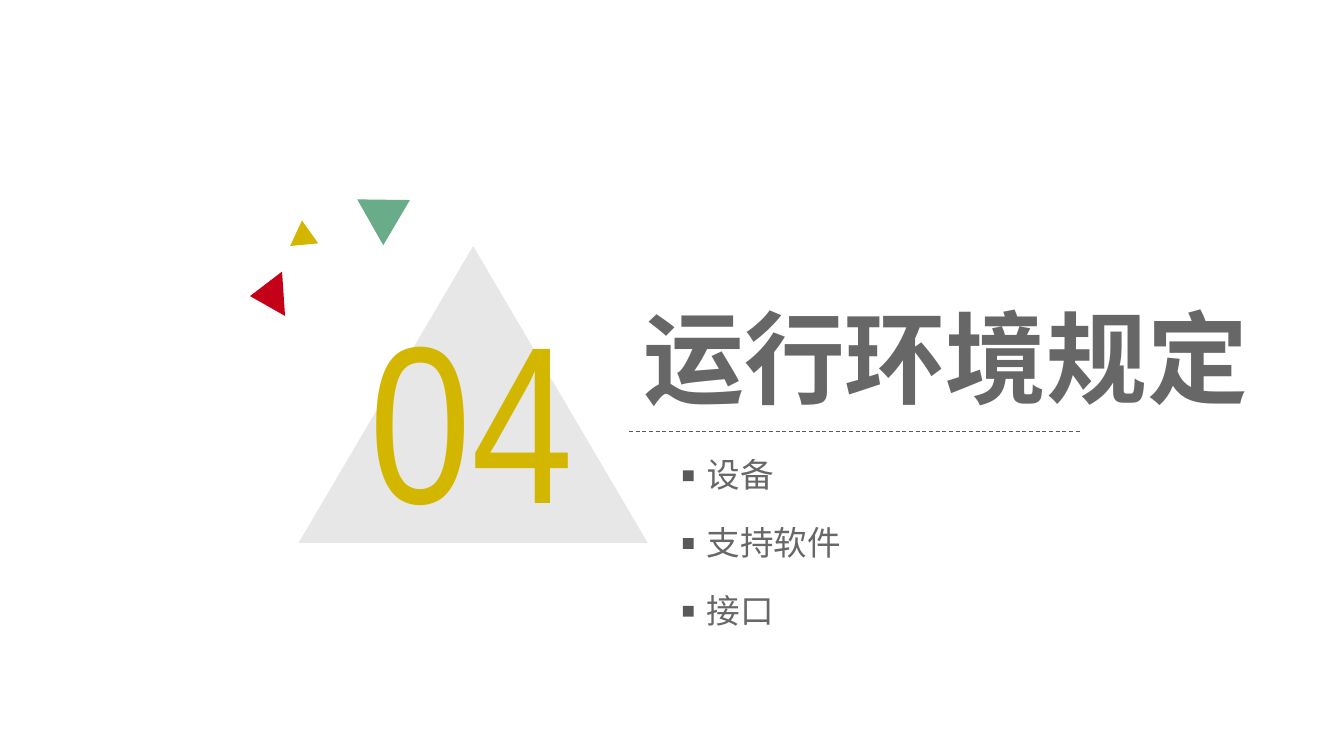
from pptx import Presentation
from pptx.dml.color import RGBColor
from pptx.enum.dml import MSO_LINE
from pptx.enum.shapes import MSO_CONNECTOR, MSO_SHAPE as Kind
from pptx.enum.text import MSO_AUTO_SIZE as Fit
from pptx.util import Pt
from lxml.etree import SubElement
from pptx.oxml.ns import qn

GRAY = RGBColor(0x59, 0x59, 0x59)
GOLD = RGBColor(0xD3, 0xB6, 0x00)
GREEN = RGBColor(0x69, 0xAC, 0x89)
RED = RGBColor(0xC5, 0x01, 0x19)
SANS = "Noto Sans CJK SC"


def add_form(host, kind, box, color, turn=0, alpha=100):
    form = host.add_shape(kind, *map(Pt, box))
    form.shadow.inherit = False
    form.rotation = turn
    form.fill.solid()
    form.fill.fore_color.rgb = color
    form.line.fill.background()
    if alpha < 100:
        tint = form._element.spPr.find(".//" + qn("a:srgbClr"))
        SubElement(tint, qn("a:alpha"), val=str(alpha * 1000))


def add_text(host, box, text, size, face, color, bold=False, alpha=100):
    area = host.add_textbox(*map(Pt, box))
    frame = area.text_frame
    frame.word_wrap = False
    frame.auto_size = Fit.SHAPE_TO_FIT_TEXT
    frame.text = text
    run = frame.paragraphs[0].runs[0]
    run.font.size = Pt(size)
    run.font.bold = bold
    run.font.name = face
    run.font.color.rgb = color
    props = run._r.get_or_add_rPr()
    SubElement(props, qn("a:ea"), typeface=face)
    if alpha < 100:
        tint = props.find(".//" + qn("a:srgbClr"))
        SubElement(tint, qn("a:alpha"), val=str(alpha * 1000))
    return frame


deck = Presentation()
deck.slide_width, deck.slide_height = Pt(720), Pt(405)
slide = deck.slides.add_slide(deck.slide_layouts[6])
shapes = slide.shapes

add_form(shapes, Kind.ISOSCELES_TRIANGLE, (160, 131.8, 187, 159), GRAY, alpha=14)
add_text(shapes, (190.8, 146.2, 140.4, 152.6), "04", 120, "Arial Narrow", GOLD)
title = add_text(shapes, (325.4, 154.8, 354.3, 76.3), "运行环境规定", 54, SANS, GRAY, True, 91)
title.margin_left = Pt(19.2)

rule = shapes.add_connector(MSO_CONNECTOR.STRAIGHT, Pt(337), Pt(231.1), Pt(579.6), Pt(231.1))
rule.line.color.rgb = GRAY
rule.line.width = Pt(0.5)
rule.line.dash_style = MSO_LINE.DASH
SubElement(rule._element.spPr, qn("a:effectLst"))

for box, turn, color in [
    ((187.9, 100.8, 28.1, 24.5), 300.6, GREEN),
    ((154.8, 118.1, 15.1, 13), 354.7, GOLD),
    ((131, 149, 23.8, 18), 266.1, RED),
]:
    add_form(shapes, Kind.ISOSCELES_TRIANGLE, box, color, turn)

for row, label in enumerate(["设备", "支持软件", "接口"]):
    top = 239.8 + 36.3 * row
    item = shapes.add_group_shape().shapes
    add_form(item, Kind.RECTANGLE, (365.8, top + 12.2, 5.8, 5.8), GRAY)
    add_text(item, (371.5, top, 14.4 + 18 * len(label), 30.2), label, 18, SANS, GRAY, alpha=91)

deck.save("out.pptx")
